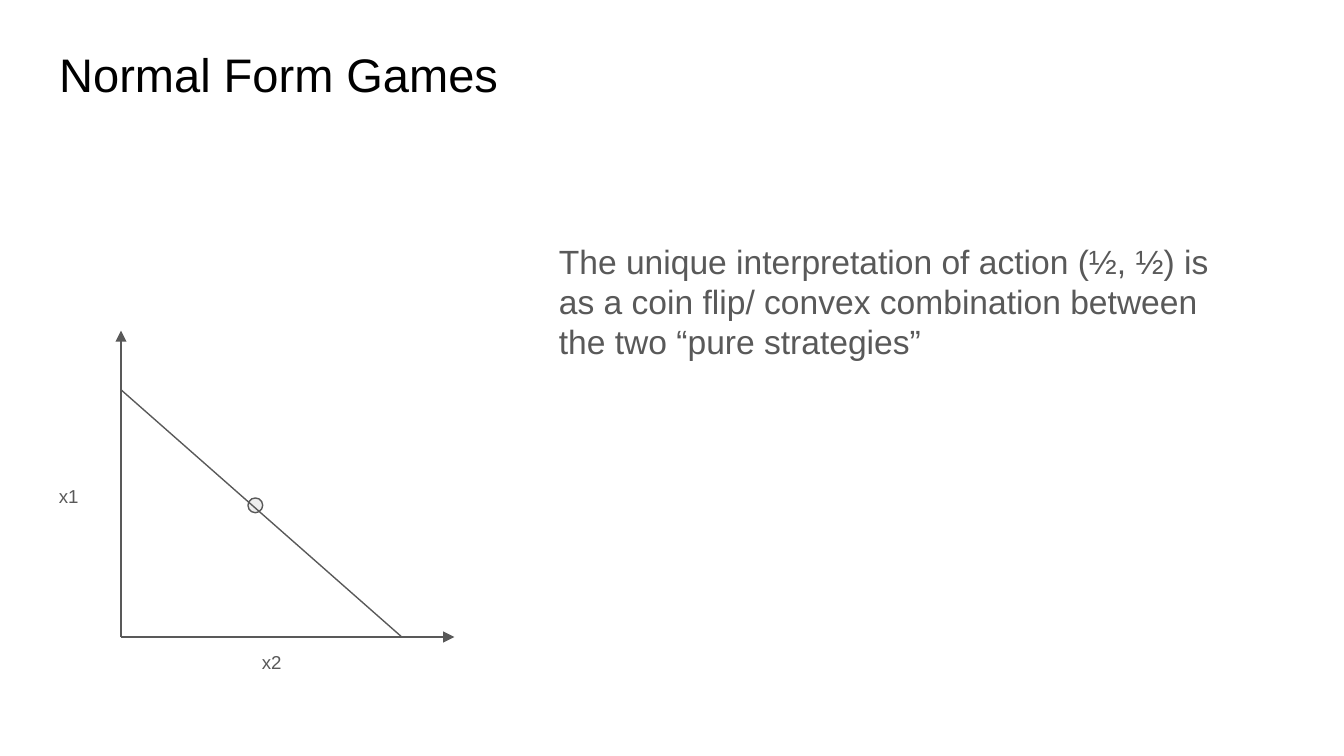
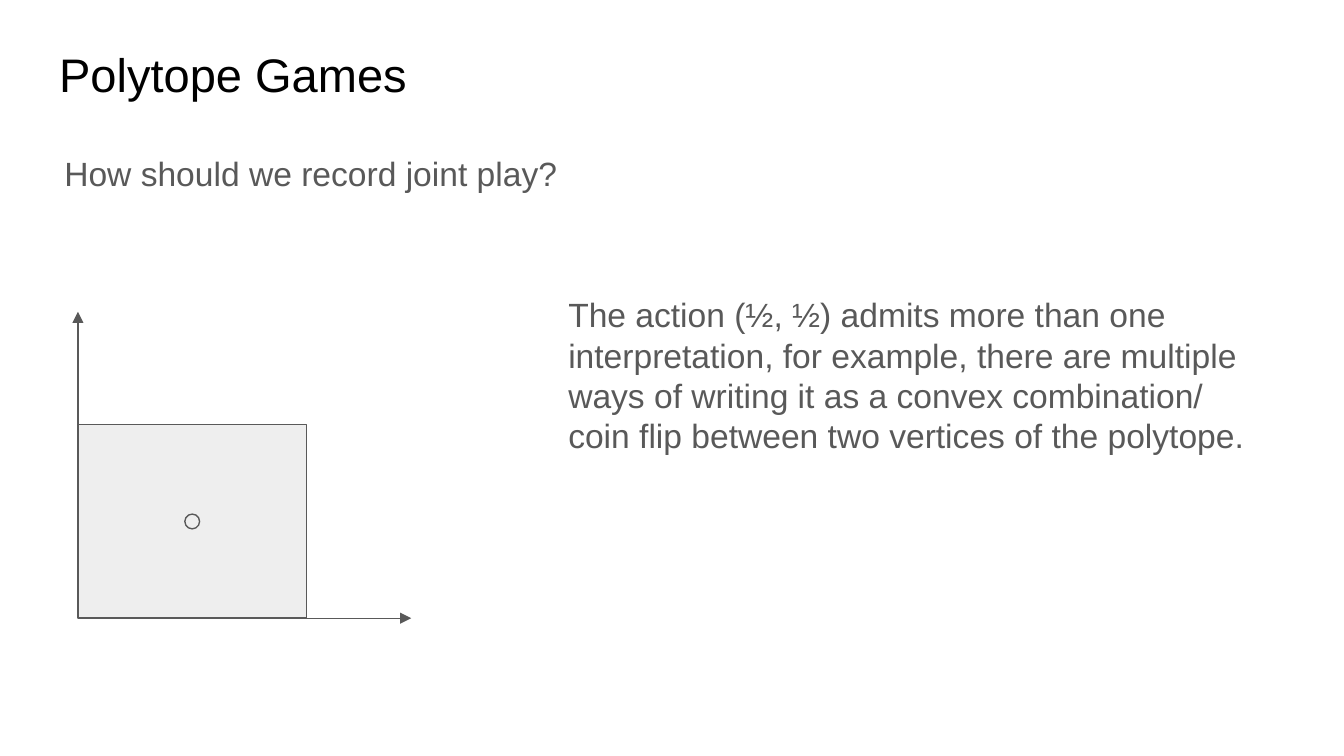
from lxml.etree import SubElement
from pptx import Presentation
from pptx.dml.color import RGBColor
from pptx.enum.shapes import MSO_CONNECTOR, MSO_SHAPE
from pptx.enum.text import MSO_ANCHOR, MSO_AUTO_SIZE, PP_ALIGN
from pptx.oxml.ns import qn
from pptx.util import Inches, Pt

FONT = "Arial"
BLACK = RGBColor(0x00, 0x00, 0x00)
GRAY = RGBColor(0x59, 0x59, 0x59)
LIGHT_GRAY = RGBColor(0xEE, 0xEE, 0xEE)
LINE_WIDTH = Pt(0.75)
AXIS_WIDTH, AXIS_HEIGHT = Inches(2.48), Inches(2.28)
POINT_SIZE = Inches(0.11)
LABEL_WIDTH, LABEL_HEIGHT = Inches(0.72), Inches(0.37)
TEXT_WIDTH = Inches(5.35)


def write_text(shape, text, size, color):
    frame = shape.text_frame
    frame.text = text
    frame.word_wrap = True
    frame.auto_size = MSO_AUTO_SIZE.NONE
    frame.vertical_anchor = MSO_ANCHOR.TOP
    frame.margin_left = frame.margin_right = Inches(0.1)
    frame.margin_top = frame.margin_bottom = Inches(0.1)
    paragraph = frame.paragraphs[0]
    paragraph.alignment = PP_ALIGN.LEFT
    font = paragraph.runs[0].font
    font.name, font.size = FONT, Pt(size)
    font.color.rgb = color


def add_text(slide, left, top, width, height, text, size=18):
    text_box = slide.shapes.add_textbox(left, top, width, height)
    write_text(text_box, text, size, GRAY)


def add_line(slide, start, end, arrow=False):
    line = slide.shapes.add_connector(MSO_CONNECTOR.STRAIGHT, *start, *end)
    line.line.color.rgb = GRAY
    line.line.width = LINE_WIDTH
    if arrow:
        SubElement(line.line._get_or_add_ln(), qn("a:tailEnd"), type="triangle")
    SubElement(line._element.spPr, qn("a:effectLst"))


def add_outlined_shape(slide, kind, left, top, width, height):
    shape = slide.shapes.add_shape(kind, left, top, width, height)
    shape.shadow.inherit = False
    shape.fill.solid()
    shape.fill.fore_color.rgb = LIGHT_GRAY
    shape.line.color.rgb = GRAY
    shape.line.width = LINE_WIDTH


def add_point(slide, center_x, center_y):
    add_outlined_shape(slide, MSO_SHAPE.OVAL, center_x - POINT_SIZE // 2,
                       center_y - POINT_SIZE // 2, POINT_SIZE, POINT_SIZE)


def add_axes(slide, x, y):
    """Draw both axes from the origin (x, y)."""
    add_line(slide, (x, y), (x + AXIS_WIDTH, y), arrow=True)
    add_line(slide, (x, y), (x, y - AXIS_HEIGHT), arrow=True)


def add_titled_slide(presentation, title):
    slide = presentation.slides.add_slide(presentation.slide_layouts[5])
    shape = slide.shapes.title
    shape.left, shape.top = Inches(0.34), Inches(0.24)
    shape.width, shape.height = Inches(9.32), Inches(0.63)
    write_text(shape, title, 25.2, BLACK)
    return slide


def draw_simplex(slide, x, y):
    """Strategy simplex of a two-action game, with its origin at (x, y)."""
    add_axes(slide, x, y)
    for left, top, label in (
        (x - Inches(0.56), y - Inches(1.23), "x1"),
        (x + Inches(0.95), y, "x2"),
    ):
        add_text(slide, left, top, LABEL_WIDTH, LABEL_HEIGHT, label, size=10)
    add_point(slide, x + Inches(1), y - Inches(0.98))
    add_line(slide, (x, y - Inches(1.84)), (x + Inches(2.09), y))


def draw_polytope(slide, x, y):
    """Rectangular strategy set with its midpoint, with its origin at (x, y)."""
    width, height = Inches(1.7), Inches(1.44)
    add_axes(slide, x, y)
    add_outlined_shape(slide, MSO_SHAPE.RECTANGLE, x, y - height, width, height)
    add_point(slide, x + width // 2, y - height // 2)


def build_normal_form_slide(presentation):
    slide = add_titled_slide(presentation, "Normal Form Games")
    draw_simplex(slide, Inches(0.9), Inches(4.74))
    add_text(slide, Inches(4.06), Inches(1.69), TEXT_WIDTH, Inches(1.01),
             "The unique interpretation of action (½, ½) is as a coin flip/ "
             "convex combination between the two “pure strategies”")


def build_polytope_slide(presentation):
    slide = add_titled_slide(presentation, "Polytope Games")
    add_text(slide, Inches(4.13), Inches(2.09), TEXT_WIDTH, Inches(1.44),
             "The action (½, ½) admits more than one interpretation, for "
             "example, there are multiple ways of writing it as a convex "
             "combination/ coin flip between two vertices of the polytope.")
    draw_polytope(slide, Inches(0.58), Inches(4.6))
    add_text(slide, Inches(0.38), Inches(1.04), Inches(9.01), Inches(0.56),
             "How should we record joint play?")


def main():
    presentation = Presentation()
    # Widescreen, 16:9
    presentation.slide_width = Inches(10)
    presentation.slide_height = Inches(10) * 9 // 16
    build_normal_form_slide(presentation)
    build_polytope_slide(presentation)
    presentation.save("out.pptx")


if __name__ == "__main__":
    main()
